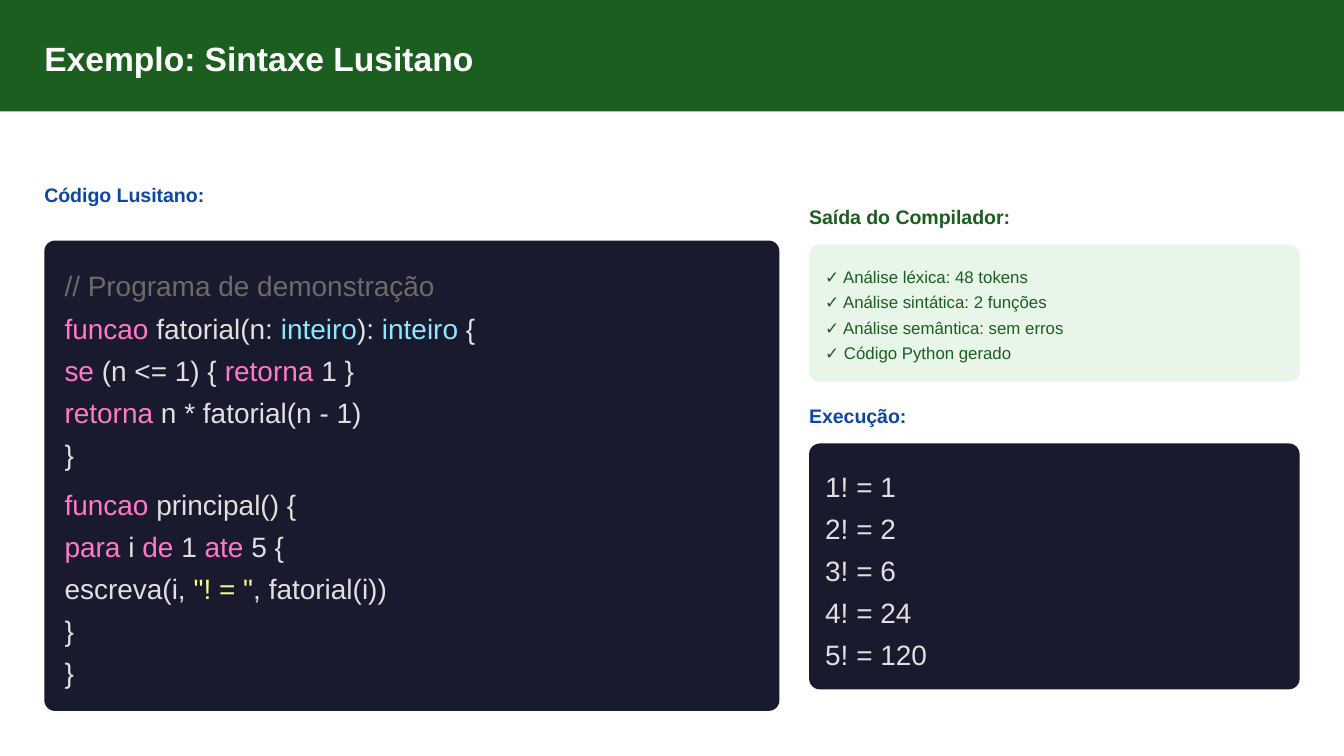
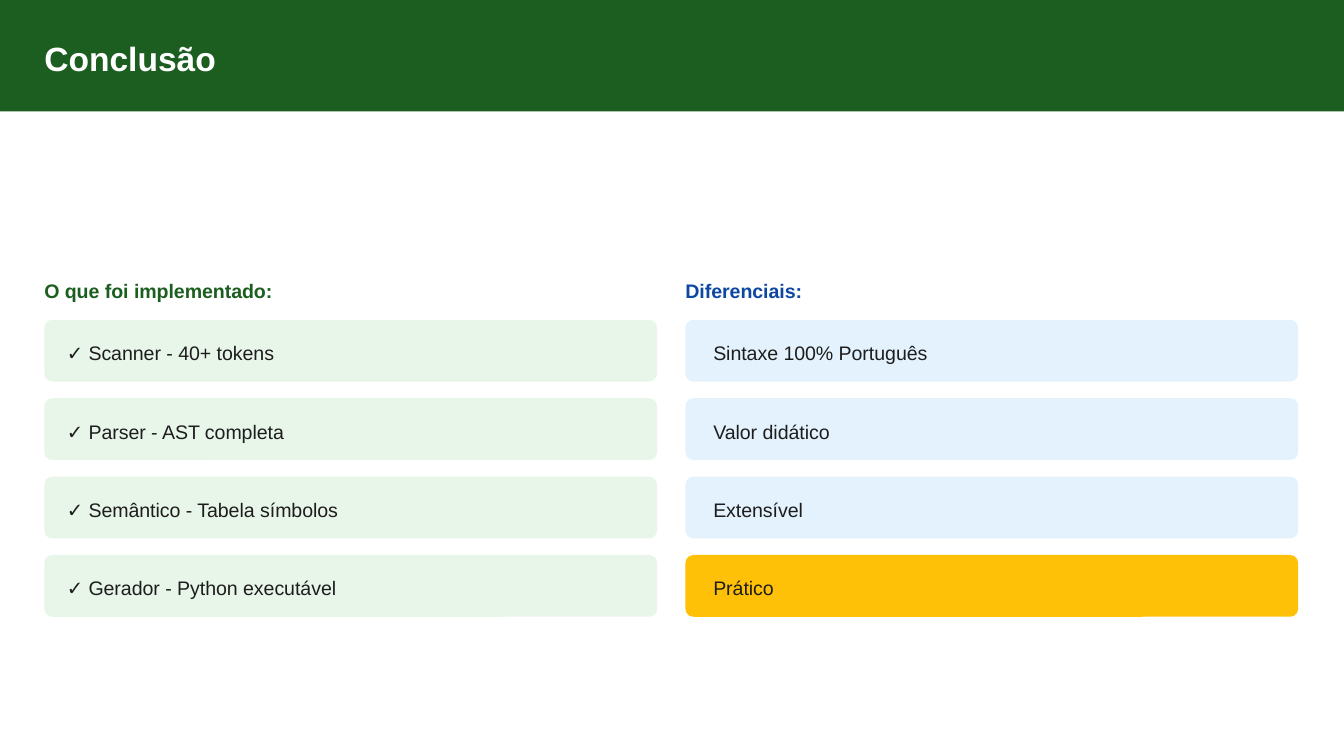
from pptx import Presentation
from pptx.dml.color import RGBColor
from pptx.enum.shapes import MSO_SHAPE as SHAPE
from pptx.enum.text import MSO_ANCHOR as ANCHOR, MSO_AUTO_SIZE as AUTO, PP_ALIGN as ALIGN
from pptx.oxml.ns import qn
from pptx.util import Inches, Pt

FONT = "Arial"
COLORS = {
    "green": "1B5E20",
    "blue": "0D47A1",
    "white": "FFFFFF",
    "text": "1D1D1D",
    "mint": "E8F5E9",
    "sky": "E3F2FD",
    "amber": "FFC107",
    "night": "1A1A2E",
    "code": "E0E0E0",
    "comment": "6B6B6B",
    "keyword": "FF79C6",
    "type": "8BE9FD",
    "string": "F1FA8C",
}
LEFT = 0.33
LAYOUT_TWO_CONTENT, LAYOUT_TITLE_ONLY = 3, 5

# Each line is a list of (text, colour) runs.
CODE_LINES = [
    [("// Programa de demonstração", "comment")],
    [("funcao", "keyword"), (" fatorial(n: ", "code"), ("inteiro", "type"),
     ("): ", "code"), ("inteiro", "type"), (" {", "code")],
    [("se", "keyword"), (" (n <= 1) { ", "code"), ("retorna", "keyword"), (" 1 }", "code")],
    [("retorna", "keyword"), (" n * fatorial(n - 1)", "code")],
    [("}", "code")],
    [("funcao", "keyword"), (" principal() {", "code")],
    [("para", "keyword"), (" i ", "code"), ("de", "keyword"), (" 1 ", "code"),
     ("ate", "keyword"), (" 5 {", "code")],
    [("escreva(i, ", "code"), ('"! = "', "string"), (", fatorial(i))", "code")],
    [("}", "code")],
    [("}", "code")],
]
SECOND_FUNCTION = 5
COMPILER_OUTPUT = [
    "✓ Análise léxica: 48 tokens",
    "✓ Análise sintática: 2 funções",
    "✓ Análise semântica: sem erros",
    "✓ Código Python gerado",
]
RUN_OUTPUT = ["1! = 1", "2! = 2", "3! = 6", "4! = 24", "5! = 120"]
IMPLEMENTED = [
    "✓ Scanner - 40+ tokens",
    "✓ Parser - AST completa",
    "✓ Semântico - Tabela símbolos",
    "✓ Gerador - Python executável",
]
STRENGTHS = ["Sintaxe 100% Português", "Valor didático", "Extensível", "Prático"]


def rgb(name):
    return RGBColor.from_string(COLORS[name])


def place(s, x, y, w, h):
    s.left, s.top, s.width, s.height = Inches(x), Inches(y), Inches(w), Inches(h)


def reset_frame(tf, anchor=ANCHOR.TOP):
    tf.margin_left = tf.margin_right = tf.margin_top = tf.margin_bottom = 0
    tf.word_wrap = True
    tf.auto_size = AUTO.NONE
    tf.vertical_anchor = anchor


def format_paragraph(p, size, leading, color=None, bold=False, before=0):
    p.alignment = ALIGN.LEFT
    p.line_spacing = Pt(leading)
    p.space_before, p.space_after = Pt(before), Pt(0)
    p.font.name, p.font.size, p.font.bold = FONT, Pt(size), bold
    if color:
        p.font.color.rgb = rgb(color)


def remove_bullet(p):
    pPr = p._p.get_or_add_pPr()
    pPr.set("marL", "0")
    pPr.set("indent", "0")
    bullet = pPr.makeelement(qn("a:buNone"), {})
    pPr.insert_element_before(bullet, "a:tabLst", "a:defRPr", "a:extLst")


def write_lines(s, lines, size, leading, color=None):
    """Write plain strings, or lists of coloured runs, one paragraph a line."""
    tf = s.text_frame
    reset_frame(tf)
    for i, line in enumerate(lines):
        p = tf.paragraphs[0] if i == 0 else tf.add_paragraph()
        format_paragraph(p, size, leading, color, before=1.5)
        remove_bullet(p)
        if isinstance(line, str):
            p.text = line
            continue
        for text, run_color in line:
            r = p.add_run()
            r.text = text
            r.font.color.rgb = rgb(run_color)


def add_box(slide, kind, x, y, w, h, fill):
    s = slide.shapes.add_shape(kind, Inches(x), Inches(y), Inches(w), Inches(h))
    s.shadow.inherit = False
    s.fill.solid()
    s.fill.fore_color.rgb = rgb(fill)
    s.line.fill.background()
    return s


def add_rounded(slide, x, y, w, h, fill, radius):
    s = add_box(slide, SHAPE.ROUNDED_RECTANGLE, x, y, w, h, fill)
    s.adjustments[0] = radius / h
    return s


def add_panel(slide, x, y, w, h, fill):
    """Add a rounded panel behind the placeholders."""
    s = add_rounded(slide, x, y, w, h, fill, 0.08)
    slide.shapes._spTree.insert(2, s._element)


def add_text_box(slide, x, y, w, h):
    return slide.shapes.add_textbox(Inches(x), Inches(y), Inches(w), Inches(h))


def add_heading(slide, text, x, y, w, color):
    tf = add_text_box(slide, x, y, w, 0.21).text_frame
    reset_frame(tf)
    p = tf.paragraphs[0]
    p.text = text
    format_paragraph(p, 10.5, 15, color, bold=True)


def add_card(slide, text, x, y, fill, inset):
    s = add_rounded(slide, x, y, 4.56, 0.46, fill, 0.06)
    tf = s.text_frame
    reset_frame(tf, ANCHOR.MIDDLE)
    tf.margin_left = Inches(inset)
    p = tf.paragraphs[0]
    p.text = text
    format_paragraph(p, 10.5, 15, "text")


def add_card_column(slide, heading, color, items, fills, x, inset):
    add_heading(slide, heading, x, 2.04, 4.65, color)
    for i, (text, fill) in enumerate(zip(items, fills)):
        add_card(slide, text, x, 2.38 + i * 1.75 / 3, fill, inset)


def add_slide(prs, layout, title):
    slide = prs.slides.add_slide(prs.slide_layouts[layout])
    s = slide.shapes.title
    place(s, LEFT, 0.25, 4.77, 0.33)
    reset_frame(s.text_frame)
    p = s.text_frame.paragraphs[0]
    p.text = title
    format_paragraph(p, 18, 24, "white", bold=True)
    return slide


def add_band_to_master(prs, slide):
    """Draw the title band once, on the master that all slides share."""
    band = add_box(slide, SHAPE.RECTANGLE, 0, 0, 10, 0.83, "green")
    prs.slide_master.shapes._spTree.insert(2, band._element)


def build_syntax_slide(prs):
    slide = add_slide(prs, LAYOUT_TWO_CONTENT, "Exemplo: Sintaxe Lusitano")
    code, output = slide.placeholders[1], slide.placeholders[2]
    right, inner = 6.02, 6.14

    add_heading(slide, "Código Lusitano:", LEFT, 1.33, 5.58, "blue")
    add_panel(slide, LEFT, 1.79, 5.47, 3.5, "night")
    place(code, 0.48, 1.96, 5.29, 3.16)
    write_lines(code, CODE_LINES, 15, 21)
    code.text_frame.paragraphs[SECOND_FUNCTION].space_before = Pt(6)

    add_heading(slide, "Saída do Compilador:", right, 1.49, 3.72, "green")
    add_panel(slide, right, 1.82, 3.65, 1.02, "mint")
    place(output, inner, 1.97, 3.47, 0.73)
    write_lines(output, COMPILER_OUTPUT, 9, 12, "green")

    add_heading(slide, "Execução:", right, 2.97, 3.72, "blue")
    add_panel(slide, right, 3.3, 3.65, 1.83, "night")
    run = add_text_box(slide, inner, 3.45, 3.47, 1.54)
    write_lines(run, RUN_OUTPUT, 15, 21, "code")
    return slide


def build_conclusion_slide(prs):
    slide = add_slide(prs, LAYOUT_TITLE_ONLY, "Conclusão")
    add_card_column(slide, "O que foi implementado:", "green", IMPLEMENTED,
                    ["mint"] * 4, LEFT, 0.15)
    add_card_column(slide, "Diferenciais:", "blue", STRENGTHS,
                    ["sky"] * 3 + ["amber"], 5.1, 0.19)


def main():
    prs = Presentation()
    prs.slide_width = Inches(10)
    prs.slide_height = prs.slide_width * 9 // 16
    syntax = build_syntax_slide(prs)
    add_band_to_master(prs, syntax)
    build_conclusion_slide(prs)
    prs.save("out.pptx")


if __name__ == "__main__":
    main()
